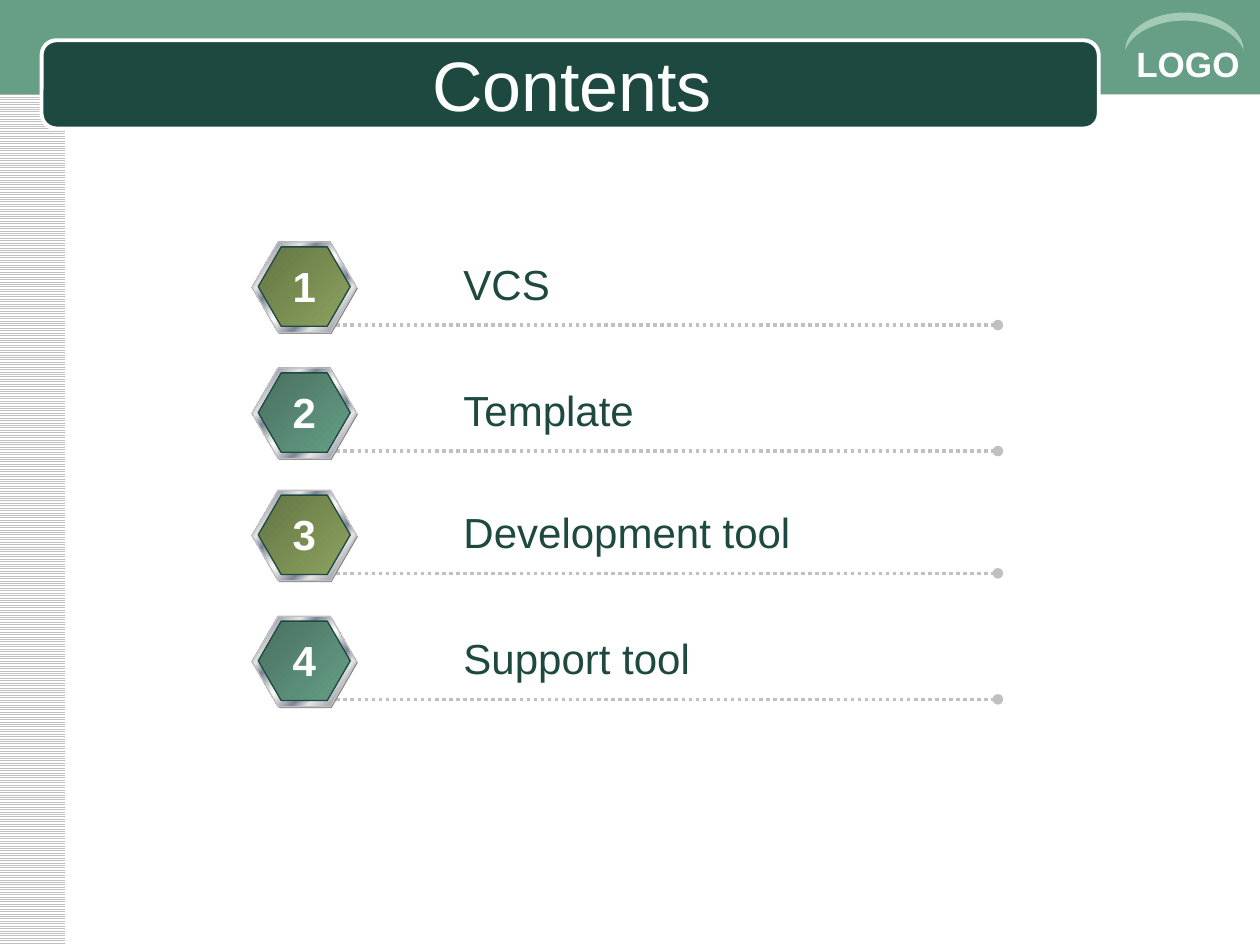
from lxml import etree
from pptx import Presentation
from pptx.dml.color import RGBColor
from pptx.enum.dml import MSO_LINE, MSO_PATTERN
from pptx.enum.shapes import MSO_CONNECTOR, MSO_SHAPE
from pptx.enum.text import MSO_ANCHOR, PP_ALIGN
from pptx.oxml.ns import qn
from pptx.util import Inches, Pt

RECT, ROUND_RECT = MSO_SHAPE.RECTANGLE, MSO_SHAPE.ROUNDED_RECTANGLE
MOON, HEXAGON = MSO_SHAPE.MOON, MSO_SHAPE.HEXAGON
LEFT, CENTER, MIDDLE = PP_ALIGN.LEFT, PP_ALIGN.CENTER, MSO_ANCHOR.MIDDLE
DARK, GREEN, GRAY, WHITE = "1D4940", "669E86", "C0C0C0", "FFFFFF"
METAL = [(0, "E6E6E6"), (7, "7D8496"), (26, "E6E6E6"), (34, "7D8496"),
         (46, "E6E6E6"), (50, "FFFFFF"), (54, "E6E6E6"), (66, "7D8496"),
         (74, "E6E6E6"), (93, "7D8496"), (100, "E6E6E6")]
OLIVE_FADE = [(0, "647544"), (100, "8CA35F")]
GREEN_FADE = [(0, "497160"), (100, GREEN)]
rgb = RGBColor.from_string


def add_box(shapes, kind, x, y, w, h, fill, line=None, width=0.75, adj=None):
    sp = shapes.add_shape(kind, Inches(x), Inches(y), Inches(w), Inches(h))
    sp.shadow.inherit = False
    if adj is not None:
        sp.adjustments[0] = adj
    if isinstance(fill, str):
        sp.fill.solid()
        sp.fill.fore_color.rgb = rgb(fill)
    else:
        sp.fill.gradient()
        sp.fill.gradient_angle = 315
        stops = sp._element.spPr.find(qn("a:gradFill")).find(qn("a:gsLst"))
        for gs in list(stops):
            stops.remove(gs)
        for pos, color in fill:
            gs = etree.SubElement(stops, qn("a:gs"), pos=str(pos * 1000))
            etree.SubElement(gs, qn("a:srgbClr"), val=color)
    if line:
        sp.line.color.rgb = rgb(line)
        sp.line.width = Pt(width)
    else:
        sp.line.fill.background()
    return sp


def add_text(shapes, text, x, y, w, h, size, color, bold=False, align=LEFT):
    tf = shapes.add_textbox(Inches(x), Inches(y), Inches(w), Inches(h)).text_frame
    tf.word_wrap = False
    tf.text = text
    p = tf.paragraphs[0]
    p.alignment = align
    font = p.runs[0].font
    font.name, font.size, font.bold = "Arial", Pt(size), bold
    font.color.rgb = rgb(color)


prs = Presentation()
prs.slide_width, prs.slide_height = Inches(10), Inches(7.5)
s = prs.slides.add_slide(prs.slide_layouts[5])

stripes = add_box(s.shapes, RECT, -0.01, 0, 0.53, 7.5, WHITE)
stripes.fill.patterned()
stripes.fill.pattern = MSO_PATTERN.LIGHT_HORIZONTAL
stripes.fill.fore_color.rgb = rgb(GRAY)
stripes.fill.back_color.rgb = rgb(WHITE)
add_box(s.shapes, RECT, 0, 0, 10.01, 0.75, GREEN)
add_box(s.shapes, ROUND_RECT, 0.33, 0.32, 8.39, 0.7, DARK, WHITE, 2.25, 0.167)
add_text(s.shapes, "LOGO", 8.92, 0.29, 1.08, 0.43, 20, WHITE, True)
moon = add_box(s.shapes, MOON, 9.25, -0.22, 0.3, 0.94, "A2CAB4", adj=0.212)
moon.rotation = 90

title = s.shapes.title
s.shapes._spTree.append(title._element)
title.left, title.top = Inches(0.5), Inches(0.35)
title.width, title.height = Inches(8.08), Inches(0.62)
tf = title.text_frame
tf.text = "Contents"
tf.vertical_anchor = MIDDLE
p = tf.paragraphs[0]
p.alignment = CENTER
r = p.runs[0]
r.font.name, r.font.size = "Arial", Pt(40)
r.font.color.rgb = rgb(WHITE)

rows = [("VCS", 1.92, 0.89, OLIVE_FADE), ("Template", 2.92, 1.57, GREEN_FADE),
        ("Development tool", 3.89, 2.82, OLIVE_FADE),
        ("Support tool", 4.89, 2.02, GREEN_FADE)]
for number, (label, y, width, fade) in enumerate(rows, 1):
    line = s.shapes.add_connector(MSO_CONNECTOR.STRAIGHT, Inches(2.67), Inches(y + 0.66),
                                  Inches(7.92), Inches(y + 0.66))
    line.line.color.rgb = rgb(GRAY)
    line.line.width = Pt(2)
    line.line.dash_style = MSO_LINE.ROUND_DOT
    etree.SubElement(line.line._get_or_add_ln(), qn("a:tailEnd"), type="oval")
    etree.SubElement(line._element.spPr, qn("a:effectLst"))

    badge = s.shapes.add_group_shape().shapes
    add_box(badge, HEXAGON, 2.01, y + 0.01, 0.83, 0.72, "808080", adj=0.289)
    add_box(badge, HEXAGON, 2, y, 0.83, 0.72, METAL, GRAY, adj=0.289)
    add_box(badge, HEXAGON, 2.05, y + 0.04, 0.73, 0.63, fade, DARK, adj=0.289)

    add_text(s.shapes, label, 3.58, y + 0.08, width, 0.5, 24, DARK)
    add_text(s.shapes, str(number), 2.22, y + 0.1, 0.39, 0.5, 24, WHITE, True, CENTER)

prs.save("out.pptx")
